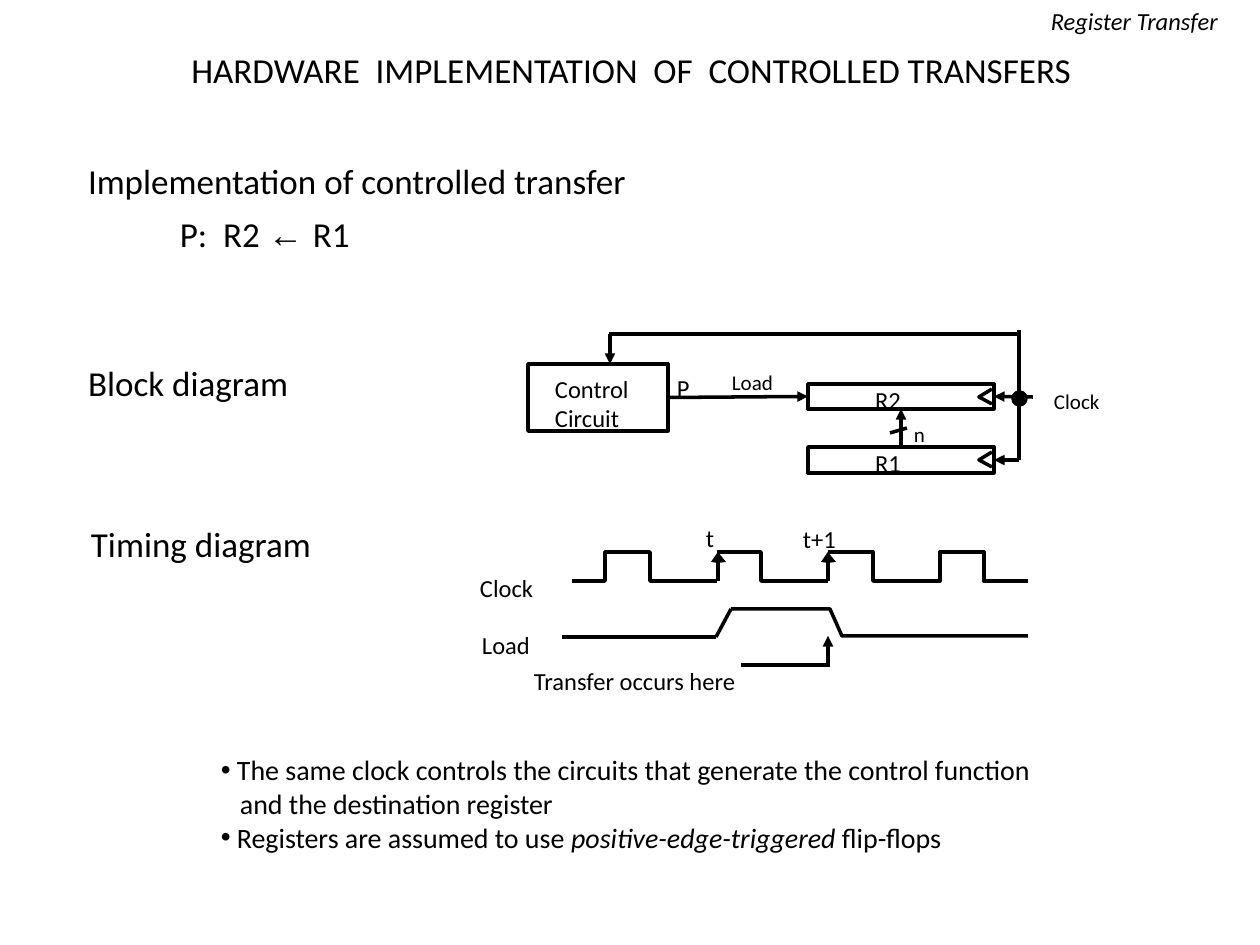
"""Build the slide on hardware implementation of controlled register transfers."""
import pptx
import pptx.dml.color
import pptx.enum.shapes
import pptx.enum.text
import pptx.oxml.ns
import pptx.util
from lxml import etree

SCALE = 914400 / 126
COLORS = {"ink": "000000", "paper": "FFFFFF"}
INK = pptx.dml.color.RGBColor.from_string(COLORS["ink"])
PAPER = pptx.dml.color.RGBColor.from_string(COLORS["paper"])
TIGHT, NORMAL = (9, 4), (13, 6)


def px(value):
    return round(value * SCALE)


def write(frame, insets, paragraphs, size, spacing=None):
    frame.auto_size = pptx.enum.text.MSO_AUTO_SIZE.SHAPE_TO_FIT_TEXT
    frame.vertical_anchor = pptx.enum.text.MSO_ANCHOR.TOP
    frame.margin_left = frame.margin_right = px(insets[0])
    frame.margin_top = frame.margin_bottom = px(insets[1])
    for index, spans in enumerate(paragraphs):
        para = frame.add_paragraph() if index else frame.paragraphs[0]
        if spacing:
            para.line_spacing = spacing
        for words, font, italic in spans:
            span = para.add_run()
            span.text = words
            span.font.name = font
            span.font.size = pptx.util.Pt(size)
            span.font.italic = italic
            span.font.color.rgb = INK


deck = pptx.Presentation()
deck.slide_width, deck.slide_height = px(1260), px(945)
page = deck.slides.add_slide(deck.slide_layouts[5])
shapes = page.shapes

title = shapes.title
title.left, title.top, title.width, title.height = map(px, (54, 44, 1155, 45))
heading = "HARDWARE  IMPLEMENTATION  OF  CONTROLLED TRANSFERS"
write(title.text_frame, TIGHT, [[(heading, "Calibri", False)]], 20)
title.text_frame.word_wrap = True
title.text_frame.paragraphs[0].alignment = pptx.enum.text.PP_ALIGN.CENTER

blocks = {}
for name, kind, bounds, fill in [
    ("control", "RECTANGLE", (528, 364, 140, 67), PAPER),
    ("R2", "RECTANGLE", (808, 384, 186, 25), PAPER),
    ("R1", "RECTANGLE", (808, 447, 186, 26), PAPER),
    ("junction", "OVAL", (1013, 392, 13, 13), INK),
]:
    block = shapes.add_shape(
        getattr(pptx.enum.shapes.MSO_SHAPE, kind), *map(px, bounds))
    block.shadow.inherit = False
    block.fill.solid()
    block.fill.fore_color.rgb = fill
    block.line.color.rgb = INK
    block.line.width = pptx.util.Pt(2)
    blocks[name] = block

for start, end, arrow, begin_site, end_site in [
    ((668, 397), (808, 397), True, ("control", 3), ("R2", 1)),
    ((901, 447), (901, 409), True, ("R1", 0), ("R2", 2)),
    ((907, 428), (890, 433), False, None, None),
    ((1033, 397), (994, 397), True, None, ("R2", 3)),
    ((1019, 330), (1019, 460), False, None, None),
    ((1019, 460), (994, 460), True, None, ("R1", 3)),
    ((1019, 334), (609, 334), False, None, None),
    ((610, 334), (610, 364), True, None, None),
    ((718, 581), (718, 558), False, None, None),
    ((828, 581), (828, 558), False, None, None),
    ((562, 637), (716, 637), False, None, None),
    ((731, 609), (716, 637), False, None, None),
    ((828, 665), (741, 665), False, None, None),
    ((828, 667), (828, 636), True, None, None),
]:
    wire = shapes.add_connector(
        pptx.enum.shapes.MSO_CONNECTOR.STRAIGHT, *map(px, start + end))
    if begin_site:
        wire.begin_connect(blocks[begin_site[0]], begin_site[1])
    if end_site:
        wire.end_connect(blocks[end_site[0]], end_site[1])
    wire.line.color.rgb = INK
    wire.line.width = pptx.util.Pt(2)
    if arrow:
        etree.SubElement(wire.line._get_or_add_ln(),
                         pptx.oxml.ns.qn("a:tailEnd"), type="triangle")
    etree.SubElement(wire._element.spPr, pptx.oxml.ns.qn("a:effectLst"))

outlines = [
    [(572, 581), (605, 581), (605, 552), (650, 552), (650, 581), (717, 581)],
    [(717, 552), (761, 552), (761, 581), (828, 581)],
    [(828, 552), (873, 552), (873, 581), (940, 581),
     (940, 552), (984, 552), (984, 581), (1028, 581)],
    [(731, 609), (830, 609), (842, 636), (1028, 636)],
]
outlines += [[(992, y - 8), (979, y), (992, y + 7)] for y in (397, 460)]
edge_heads = [[(x - 7, 562), (x, 552), (x + 8, 562), (x, 563)]
              for x in (718, 828)]
for points in outlines + edge_heads:
    solid = points in edge_heads
    builder = shapes.build_freeform(*points[0], scale=SCALE)
    builder.add_line_segments(points[1:], close=solid)
    outline = builder.convert_to_shape()
    outline.shadow.inherit = False
    if solid:
        outline.fill.solid()
        outline.fill.fore_color.rgb = INK
        outline.line.fill.background()
    else:
        outline.fill.background()
        outline.line.color.rgb = INK
        outline.line.width = pptx.util.Pt(2)

for words, bounds, size, insets, spacing in [
    ("Implementation of controlled transfer", (79, 155, 646, 50), 20, TIGHT, 1.02),
    ("Block diagram", (79, 357, 258, 49), 20, TIGHT, 1.01),
    ("Timing diagram", (82, 518, 277, 49), 20, TIGHT, 1.01),
    ("Transfer occurs here", (525, 664, 261, 35), 14, TIGHT, 0.97),
    ("Clock", (1041, 383, 82, 35), 12, NORMAL, None),
    ("R2", (862, 379, 57, 39), 14, NORMAL, None),
    ("R1", (862, 442, 57, 39), 14, NORMAL, None),
    ("Control\nCircuit", (542, 368, 118, 118), 14, NORMAL, None),
    ("Load", (719, 364, 76, 35), 12, NORMAL, None),
    ("P", (664, 367, 42, 39), 14, NORMAL, None),
    ("n", (901, 416, 38, 35), 12, NORMAL, None),
    ("Clock", (467, 567, 92, 39), 14, NORMAL, None),
    ("Load", (469, 624, 83, 39), 14, NORMAL, None),
    ("t", (693, 517, 33, 39), 14, NORMAL, None),
    ("t+1", (790, 518, 60, 39), 14, NORMAL, None),
]:
    box = shapes.add_textbox(*map(px, bounds))
    box.text_frame.word_wrap = False
    lines = [[(line, "Calibri", False)] for line in words.split("\n")]
    write(box.text_frame, insets, lines, size, spacing)

topic = shapes.add_textbox(*map(px, (1004, 0, 227, 39)))
topic.text_frame.word_wrap = False
write(topic.text_frame, NORMAL, [[("Register Transfer", "Calibri", True)]], 14)
topic.text_frame.paragraphs[0].alignment = pptx.enum.text.PP_ALIGN.RIGHT

statement = shapes.add_textbox(*map(px, (171, 204, 214, 54)))
statement.text_frame.word_wrap = False
write(statement.text_frame, TIGHT,
      [[("P:  R2 ", "Calibri", False), ("← ", "Arial", False),
        ("R1", "Calibri", False)]], 20, 1.11)

notes = shapes.add_textbox(*map(px, (208, 747, 983, 103)))
notes.text_frame.word_wrap = True
write(notes.text_frame, NORMAL, [
    [("The same clock controls the circuits that generate the control function",
      "Calibri", False)],
    [("and the destination register", "Calibri", False)],
    [("Registers are assumed to use ", "Calibri", False),
     ("positive-edge-triggered", "Calibri", True),
     (" flip-flops", "Calibri", False)],
], 16)
for para, margin, bulleted in zip(
        notes.text_frame.paragraphs, (16, 19, 16), (True, False, True)):
    properties = para._p.get_or_add_pPr()
    properties.set("marL", str(px(margin)))
    properties.set("indent", str(px(-margin if bulleted else 0)))
    if bulleted:
        etree.SubElement(properties, pptx.oxml.ns.qn("a:buFont"), typeface="Arial")
        etree.SubElement(properties, pptx.oxml.ns.qn("a:buChar"), char="•")

deck.save("out.pptx")
